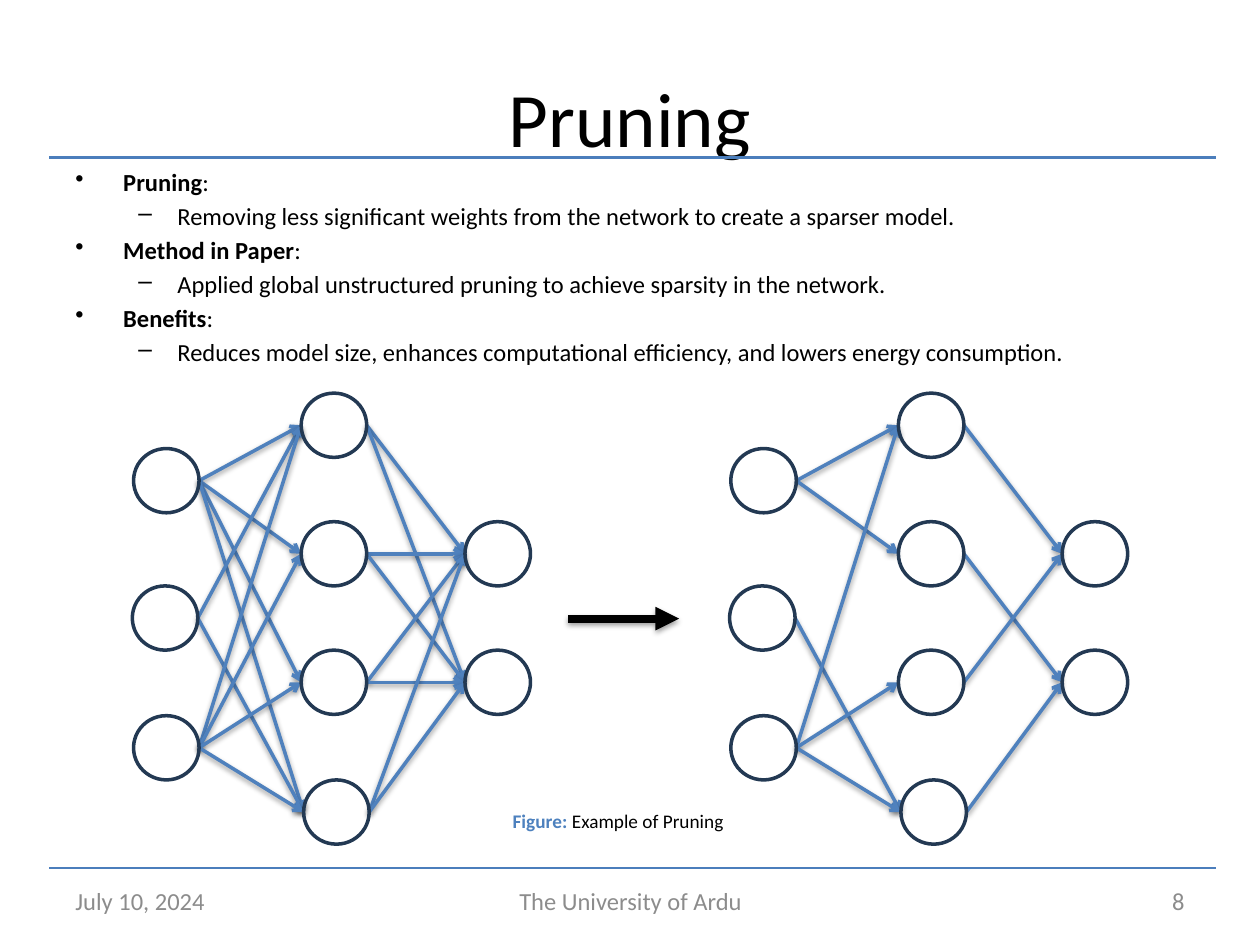
"""Build a slide on network pruning, with a dense and a pruned network."""
from lxml.etree import SubElement
from pptx import Presentation
from pptx.dml.color import RGBColor as RGB
from pptx.enum.shapes import MSO_CONNECTOR as CONN, MSO_SHAPE as SHAPE
from pptx.enum.text import MSO_ANCHOR as ANCHOR, PP_ALIGN as ALIGN
from pptx.oxml.ns import qn
from pptx.util import Inches, Pt

BLACK = RGB(0x00, 0x00, 0x00)
GRAY = RGB(0x8C, 0x8C, 0x8C)
RULE = RGB(0x4B, 0x7E, 0xBC)
EDGE = RGB(0x4F, 0x81, 0xBD)
RING = RGB(0x23, 0x39, 0x53)
LABEL = RGB(0x4D, 0x81, 0xBE)
FONT = "Calibri"

deck = Presentation()
deck.slide_width, deck.slide_height = Inches(10), Inches(7.5)
slide = deck.slides.add_slide(deck.slide_layouts[5])
shapes = slide.shapes


def add_line(start, end, color, width, head=None):
    ends = [Inches(v) for v in (*start, *end)]
    line = shapes.add_connector(CONN.STRAIGHT, *ends)
    line.line.color.rgb = color
    line.line.width = Pt(width)
    if head:
        SubElement(line.line._get_or_add_ln(), qn("a:tailEnd"), type=head)
    else:
        SubElement(line._element.spPr, qn("a:effectLst"))


def add_text(left, top, width, height, anchor=ANCHOR.TOP):
    box = shapes.add_textbox(*[Inches(v) for v in (left, top, width, height)])
    box.text_frame.word_wrap = True
    box.text_frame.vertical_anchor = anchor
    return box.text_frame


add_line((0.39, 6.89), (9.65, 6.89), RULE, 1.5)
add_line((0.39, 1.25), (9.65, 1.25), RULE, 2.25)

title = shapes.title
title.left, title.top = Inches(0.5), Inches(0.3)
title.width, title.height = Inches(9), Inches(1.25)
title.text_frame.text = "Pruning"
title.text_frame.vertical_anchor = ANCHOR.MIDDLE
para = title.text_frame.paragraphs[0]
para.alignment = ALIGN.CENTER
para.font.name, para.font.size = FONT, Pt(44)
para.font.color.rgb = BLACK

points = [
    ("Pruning", "Removing less significant weights from the network to create a sparser model."),
    ("Method in Paper", "Applied global unstructured pruning to achieve sparsity in the network."),
    ("Benefits", "Reduces model size, enhances computational efficiency, and lowers energy consumption."),
]
levels = [("•", 0.38, -0.38), ("–", 0.81, -0.31)]
body = add_text(0.5, 1.28, 9, 1.8)
rows = [row for head, note in points for row in ((0, head, ":"), (1, "", note))]
for spot, (level, bold, plain) in enumerate(rows):
    para = body.add_paragraph() if spot else body.paragraphs[0]
    para.level = level
    para.space_before = Pt(2.6)
    para.font.name, para.font.size = FONT, Pt(14)
    para.font.color.rgb = BLACK
    if bold:
        run = para.add_run()
        run.text, run.font.bold = bold, True
    para.add_run().text = plain
    mark, margin, indent = levels[level]
    props = para._p.get_or_add_pPr()
    props.set("marL", str(Inches(margin)))
    props.set("indent", str(Inches(indent)))
    bullet = SubElement(props, qn("a:buChar"), char=mark)
    props.find(qn("a:defRPr")).addprevious(bullet)

footer = [
    (0.5, 2.33, "July 10, 2024", ALIGN.LEFT),
    (3.42, 3.17, "The University of Ardu", ALIGN.CENTER),
    (7.17, 2.33, "8", ALIGN.RIGHT),
]
for left, width, words, align in footer:
    para = add_text(left, 6.95, width, 0.4, ANCHOR.MIDDLE).paragraphs[0]
    para.text, para.alignment = words, align
    para.font.name, para.font.size = FONT, Pt(14)
    para.font.color.rgb = GRAY

WIDE, TALL = 0.52, 0.51
layers = [
    [(1.06, 3.56), (1.05, 4.65), (1.06, 5.68)],
    [(2.39, 3.12), (2.39, 4.14), (2.39, 5.16), (2.41, 6.19)],
    [(3.69, 4.14), (3.69, 5.16)],
]
dense = [
    {0: (0, 1, 2, 3), 1: (0, 3), 2: (0, 1, 2, 3)},
    {node: (0, 1) for node in range(4)},
]
sparse = [
    {0: (0, 1), 1: (3,), 2: (0, 2, 3)},
    {0: (0,), 1: (1,), 2: (0,), 3: (1,)},
]
for shift, links in ((0, dense), (4.74, sparse)):
    for layer, fan in enumerate(links):
        for source, targets in fan.items():
            left, top = layers[layer][source]
            start = (left + shift + WIDE, top + TALL / 2)
            for target in targets:
                left, top = layers[layer + 1][target]
                add_line(start, (left + shift, top + TALL / 2), EDGE, 2, "arrow")
    for left, top in (node for layer in layers for node in layer):
        node = shapes.add_shape(SHAPE.OVAL, Inches(left + shift), Inches(top),
                                Inches(WIDE), Inches(TALL))
        node.shadow.inherit = False
        node.fill.background()
        node.line.color.rgb = RING
        node.line.width = Pt(2)

add_line((4.51, 4.91), (5.39, 4.91), BLACK, 4.5, "triangle")

para = add_text(3.97, 6.37, 2.05, 0.29).paragraphs[0]
para.font.name, para.font.size = FONT, Pt(11)
for words, color, bold in (("Figure: ", LABEL, True), ("Example of Pruning", BLACK, False)):
    run = para.add_run()
    run.text, run.font.bold = words, bold
    run.font.color.rgb = color

deck.save("out.pptx")
